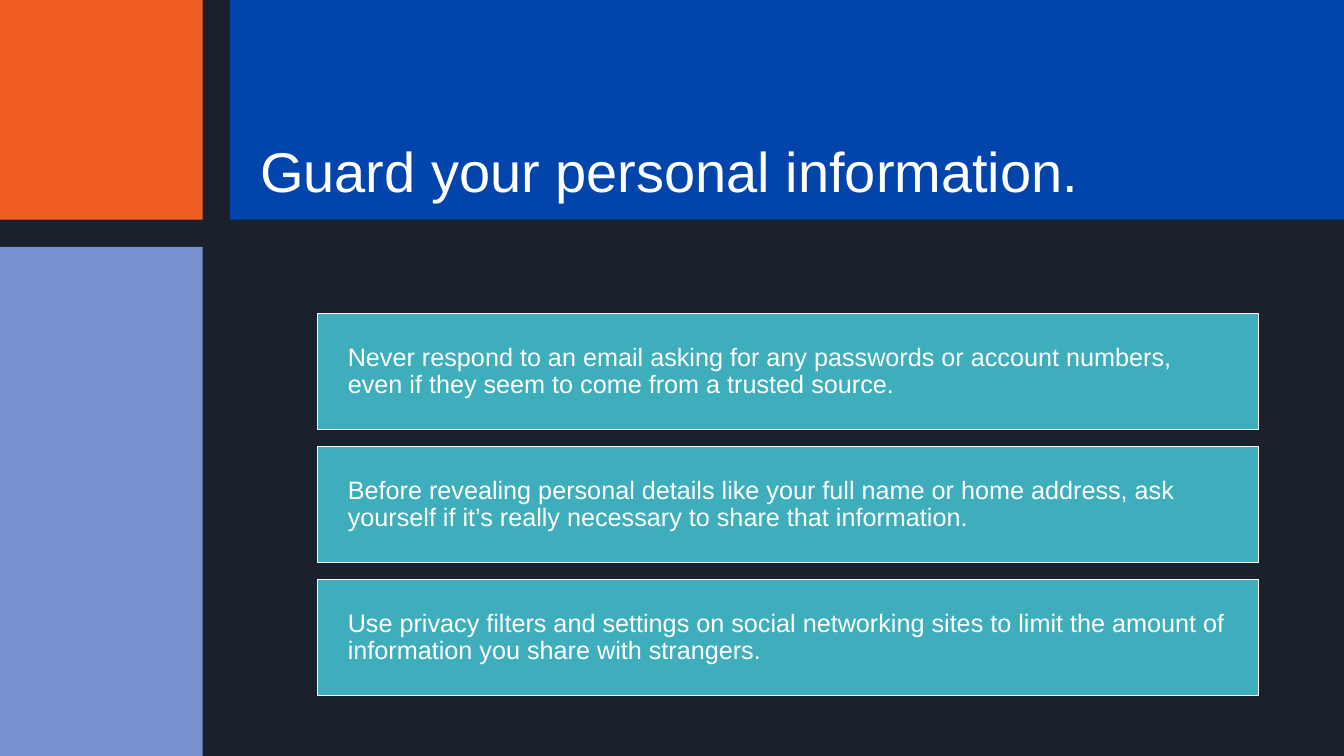
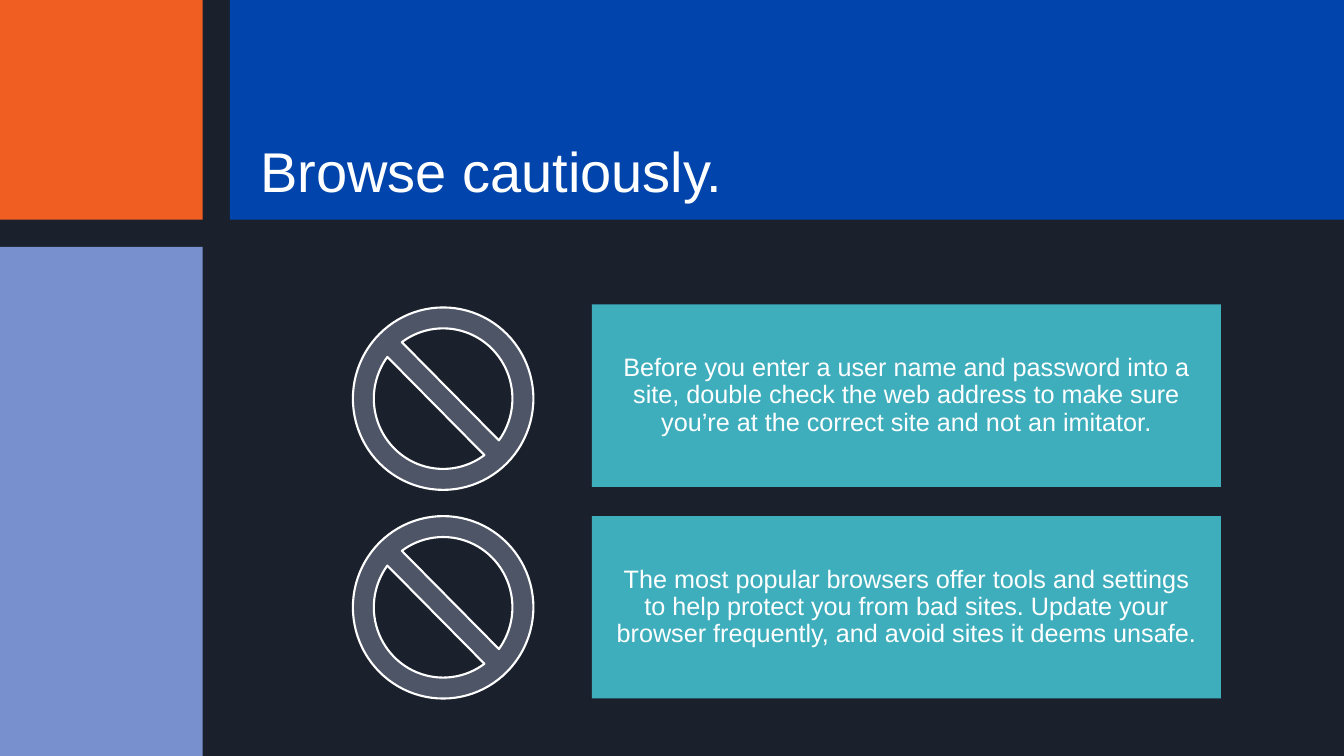
from pptx import Presentation
from pptx.dml.color import RGBColor
from pptx.enum import shapes, text
from pptx.util import Inches, Pt

DARK = RGBColor(0x1B, 0x21, 0x2C)
BLUE = RGBColor(0x01, 0x45, 0xAC)
ORANGE = RGBColor(0xF1, 0x5E, 0x22)
PERIWINKLE = RGBColor(0x78, 0x90, 0xCD)
TEAL = RGBColor(0x3E, 0xAE, 0xBD)
SLATE = RGBColor(0x4E, 0x55, 0x67)
WHITE = RGBColor(0xFF, 0xFF, 0xFF)

FONT = "Arial"
WIDTH, HEIGHT = 13.33, 7.5
SIDE_WIDTH, BAND_HEIGHT, GUTTER = 2.01, 2.18, 0.27

RECT = shapes.MSO_SHAPE.RECTANGLE
NO_SIGN = shapes.MSO_SHAPE.NO_SYMBOL

TIPS = [
    "Never respond to an email asking for any passwords or account numbers, "
    "even if they seem to come from a trusted source.",
    "Before revealing personal details like your full name or home address, "
    "ask yourself if it’s really necessary to share that information.",
    "Use privacy filters and settings on social networking sites to limit "
    "the amount of information you share with strangers.",
]
WARNINGS = [
    "Before you enter a user name and password into a site, double check the "
    "web address to make sure you’re at the correct site and not an imitator.",
    "The most popular browsers offer tools and settings to help protect you "
    "from bad sites. Update your browser frequently, and avoid sites it deems "
    "unsafe.",
]


def add_block(s, kind, box, fill, line_width=None):
    """Flat filled shape, with a white outline if a width is given."""
    sp = s.shapes.add_shape(kind, *map(Inches, box))
    sp.shadow.inherit = False
    sp.fill.solid()
    sp.fill.fore_color.rgb = fill
    if line_width:
        sp.line.color.rgb = WHITE
        sp.line.width = Pt(line_width)
    else:
        sp.line.fill.background()
    return sp


def write(sp, words, size, inset, anchor=text.MSO_ANCHOR.MIDDLE,
          align=text.PP_ALIGN.LEFT):
    """One white paragraph; inset is (sides, top and bottom)."""
    tf = sp.text_frame
    tf.word_wrap = True
    tf.vertical_anchor = anchor
    tf.margin_left = tf.margin_right = Inches(inset[0])
    tf.margin_top = tf.margin_bottom = Inches(inset[1])
    p = tf.paragraphs[0]
    p.alignment = align
    p.line_spacing = 0.9
    r = p.add_run()
    r.text = words
    r.font.name = FONT
    r.font.size = Pt(size)
    r.font.color.rgb = WHITE


def add_framed_slide(prs, title):
    """Dark slide with the coloured panels and the title."""
    s = prs.slides.add_slide(prs.slide_layouts[6])
    s.background.fill.solid()
    s.background.fill.fore_color.rgb = DARK
    left, top = SIDE_WIDTH + GUTTER, BAND_HEIGHT + GUTTER
    add_block(s, RECT, (left, 0, WIDTH - left, BAND_HEIGHT), BLUE)
    add_block(s, RECT, (0, 0, SIDE_WIDTH, BAND_HEIGHT), ORANGE)
    add_block(s, RECT, (0, top, SIDE_WIDTH, HEIGHT - top), PERIWINKLE)
    title_box = (left, 1.27, 10.65, BAND_HEIGHT - 1.27)
    sp = s.shapes.add_textbox(*map(Inches, title_box))
    write(sp, title, 40, (0.3, 0.15), text.MSO_ANCHOR.BOTTOM)
    return s


def add_tip_stack(s, box, tips, gap=0.17):
    """Outlined bars of equal height that fill the box."""
    left, top, width, height = box
    bar = (height - gap * (len(tips) - 1)) / len(tips)
    for i, tip in enumerate(tips):
        y = top + i * (bar + gap)
        sp = add_block(s, RECT, (left, y, width, bar), TEAL, 1)
        write(sp, tip, 18, (0.3, 0.1))


def add_warning_rows(s, box, warnings, row=1.81):
    """Rows with a prohibition sign at the left and a panel at the right."""
    left, top, width, height = box
    sign_width, panel_width = 1.79, 6.24
    step = (height - row) / (len(warnings) - 1)
    for i, warning in enumerate(warnings):
        y = top + i * step
        panel = (left + width - panel_width, y, panel_width, row)
        sp = add_block(s, RECT, panel, TEAL)
        write(sp, warning, 18, (0.2, 0.1), align=text.PP_ALIGN.CENTER)
        # The first sign sits slightly below the top of its panel
        sign_y = y + (0.03 if i == 0 else 0)
        sign = add_block(s, NO_SIGN, (left, sign_y, sign_width, row), SLATE, 1.5)
        sign.adjustments[0] = 0.116


def main():
    prs = Presentation()
    prs.slide_width, prs.slide_height = Inches(WIDTH), Inches(HEIGHT)

    s = add_framed_slide(prs, "Guard your personal information.")
    add_tip_stack(s, (3.15, 3.11, 9.33, 3.79), TIPS)

    s = add_framed_slide(prs, "Browse cautiously.")
    add_warning_rows(s, (3.5, 3.02, 8.61, 3.91), WARNINGS)

    prs.save("out.pptx")


if __name__ == "__main__":
    main()
